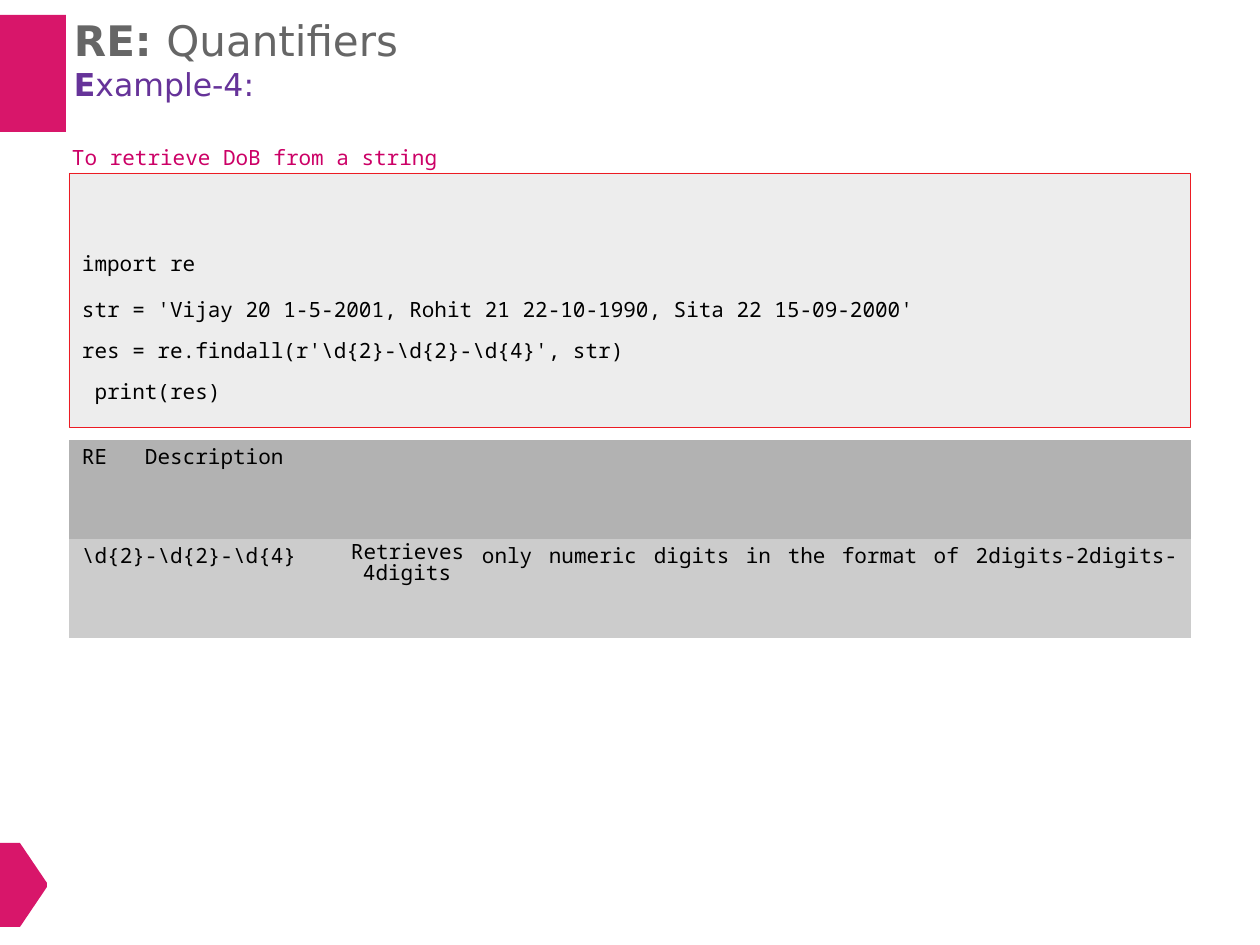
from lxml import etree
from pptx import Presentation
from pptx import util as u
from pptx.dml.color import RGBColor
from pptx.enum import shapes, text
from pptx.oxml.ns import qn

PINK = RGBColor(0xD8, 0x16, 0x6A)
MAGENTA = RGBColor(0xCC, 0x00, 0x66)
PURPLE = RGBColor(0x66, 0x33, 0x99)
GREY = RGBColor(0x66, 0x66, 0x66)
BLACK = RGBColor(0, 0, 0)
RED = RGBColor(0xEC, 0x1B, 0x23)
CODE_FILL = RGBColor(0xED, 0xED, 0xED)
HEADER_FILL = RGBColor(0xB2, 0xB2, 0xB2)
ROW_FILL = RGBColor(0xCC, 0xCC, 0xCC)

SANS = "DejaVu Sans"
MONO = "Noto Sans Mono"
NO_STYLE = "{2D5ABB26-0587-4C30-8999-92F81FD0307C}"


def px(length):
    return round(length * 914400 / 126)


class Deck:
    def __init__(self, width, height):
        self.deck = Presentation()
        self.deck.slide_width, self.deck.slide_height = px(width), px(height)
        self.slide = self.deck.slides.add_slide(self.deck.slide_layouts[6])

    def paint(self, shape, fill, line=None):
        shape.shadow.inherit = False
        shape.fill.solid()
        shape.fill.fore_color.rgb = fill
        if line is None:
            shape.line.fill.background()
        else:
            shape.line.color.rgb = line
            shape.line.width = u.Pt(0.25)

    def rectangle(self, x, y, w, h, fill, line=None):
        box = self.slide.shapes.add_shape(
            shapes.MSO_SHAPE.RECTANGLE, px(x), px(y), px(w), px(h))
        self.paint(box, fill, line)
        return box

    def outline(self, points, fill):
        builder = self.slide.shapes.build_freeform(*points[0], scale=px(1))
        builder.add_line_segments(points[1:], close=True)
        self.paint(builder.convert_to_shape(), fill)

    def frame(self, holder, top):
        """Prepare a text frame with only a top inset."""
        frame = holder.text_frame
        frame.word_wrap = True
        frame.vertical_anchor = text.MSO_ANCHOR.TOP
        frame.margin_left = frame.margin_right = frame.margin_bottom = 0
        frame.margin_top = px(top)
        return frame

    def text_box(self, x, y, w, h):
        return self.frame(
            self.slide.shapes.add_textbox(px(x), px(y), px(w), px(h)), top=1)

    def fill_paragraph(self, paragraph, parts, size=12, color=BLACK, face=MONO,
                       left=1, hanging=0, tab=None):
        """Fill a paragraph with (wording, bold) parts."""
        paragraph.alignment = text.PP_ALIGN.LEFT
        properties = paragraph._p.get_or_add_pPr()
        properties.set("marL", str(px(left)))
        properties.set("indent", str(-px(hanging)))
        if tab:
            stops = etree.SubElement(properties, qn("a:tabLst"))
            etree.SubElement(stops, qn("a:tab"), pos=str(px(tab)), algn="l")
        font = paragraph.font
        font.name, font.size, font.color.rgb = face, u.Pt(size), color
        for wording, bold in parts:
            run = paragraph.add_run()
            run.text = wording
            if bold:
                run.font.bold = True

    def table(self, x, y, widths, heights):
        grid = self.slide.shapes.add_table(
            len(heights), len(widths), px(x), px(y),
            px(sum(widths)), px(sum(heights))).table
        grid.first_row = grid.horz_banding = False
        grid._tbl.tblPr.find(qn("a:tableStyleId")).text = NO_STYLE
        for column, width in zip(grid.columns, widths):
            column.width = px(width)
        for row, height in zip(grid.rows, heights):
            row.height = px(height)
        return grid

    def cell(self, cell, wording, fill, top=2, **style):
        cell.fill.solid()
        cell.fill.fore_color.rgb = fill
        cell.margin_left = cell.margin_right = cell.margin_bottom = 0
        cell.margin_top = px(top)
        paragraph = cell.text_frame.paragraphs[0]
        self.fill_paragraph(paragraph, [(wording, False)], **style)
        return paragraph


def main():
    deck = Deck(1260, 945)
    deck.rectangle(0, 15, 66, 117, PINK)
    deck.outline([(20, 843), (0, 843), (0, 927), (20, 927),
                  (47, 887), (47, 883)], PINK)

    title = deck.text_box(73, 14, 328, 92)
    deck.fill_paragraph(title.paragraphs[0],
                        [("RE: ", True), ("Quantifiers", False)],
                        size=24, color=GREY, face=SANS)
    deck.fill_paragraph(title.add_paragraph(),
                        [("E", True), ("xample-4:", False)],
                        size=18, color=PURPLE, face=SANS)

    code = deck.frame(deck.rectangle(69, 173, 1121, 254, CODE_FILL, RED), top=78)
    code_lines = [
        ("import re", 0),
        ("str = 'Vijay 20 1-5-2001, Rohit 21 22-10-1990, Sita 22 15-09-2000'", 11.5),
        (r"res = re.findall(r'\d{2}-\d{2}-\d{4}', str)", 9),
        (" print(res)", 9),
    ]
    for number, (line, gap) in enumerate(code_lines):
        paragraph = code.add_paragraph() if number else code.paragraphs[0]
        if gap:
            paragraph.space_before = u.Pt(gap)
        deck.fill_paragraph(paragraph, [(line, False)], left=13)

    task = deck.text_box(71, 144, 369, 29)
    deck.fill_paragraph(task.paragraphs[0],
                        [("To retrieve DoB from a string", False)],
                        color=MAGENTA)

    grid = deck.table(69, 440, [255, 149, 67, 105, 92, 42, 54, 92, 42, 224],
                      [99, 99])
    grid.cell(0, 0).merge(grid.cell(0, 9))
    deck.cell(grid.cell(0, 0), "RE\tDescription", HEADER_FILL, left=13, tab=281)
    deck.cell(grid.cell(1, 0), r"\d{2}-\d{2}-\d{4}", ROW_FILL, left=13)
    retrieves = deck.cell(grid.cell(1, 1), "Retrieves 4digits", ROW_FILL,
                          top=6, left=39, hanging=12)
    retrieves.line_spacing = u.Pt(12)
    words = ["only", "numeric", "digits", "in", "the", "format", "of",
             "2digits-2digits-"]
    for column, word in enumerate(words, start=2):
        deck.cell(grid.cell(1, column), word, ROW_FILL, left=9)

    deck.deck.save("out.pptx")


if __name__ == "__main__":
    main()
